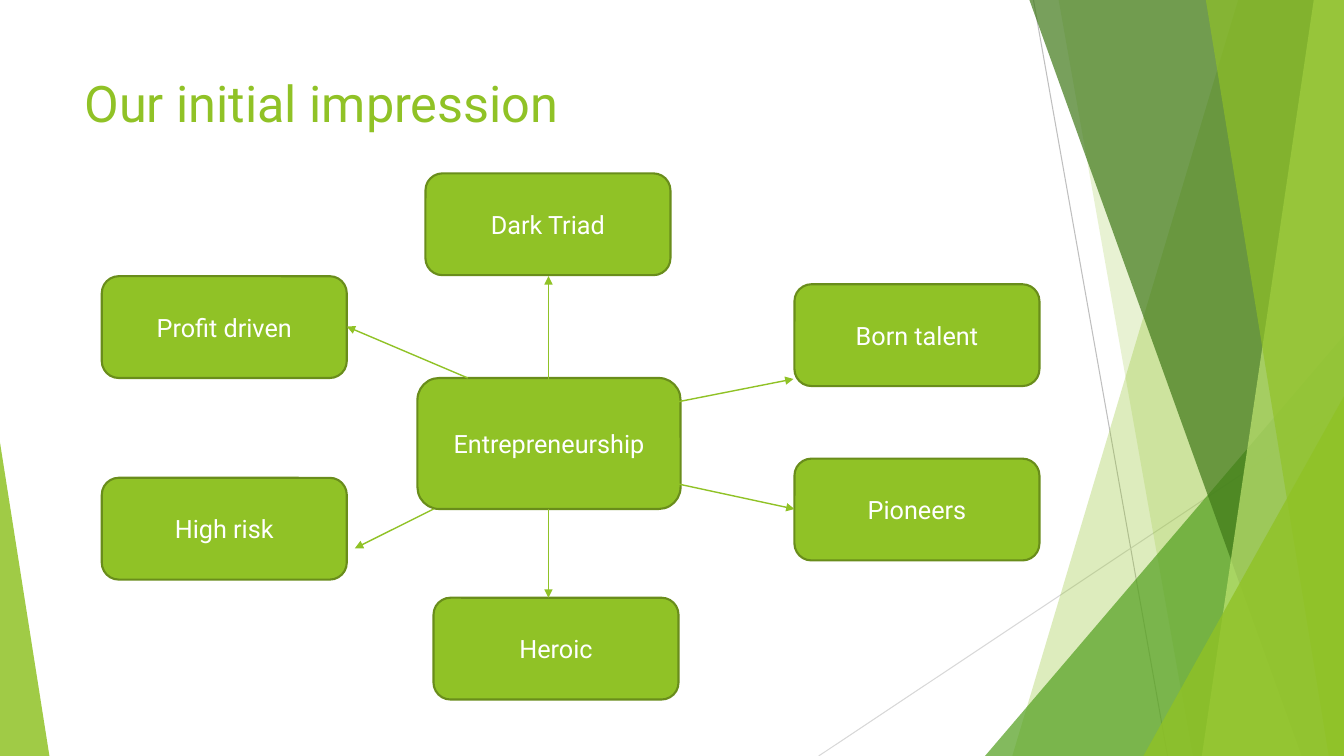
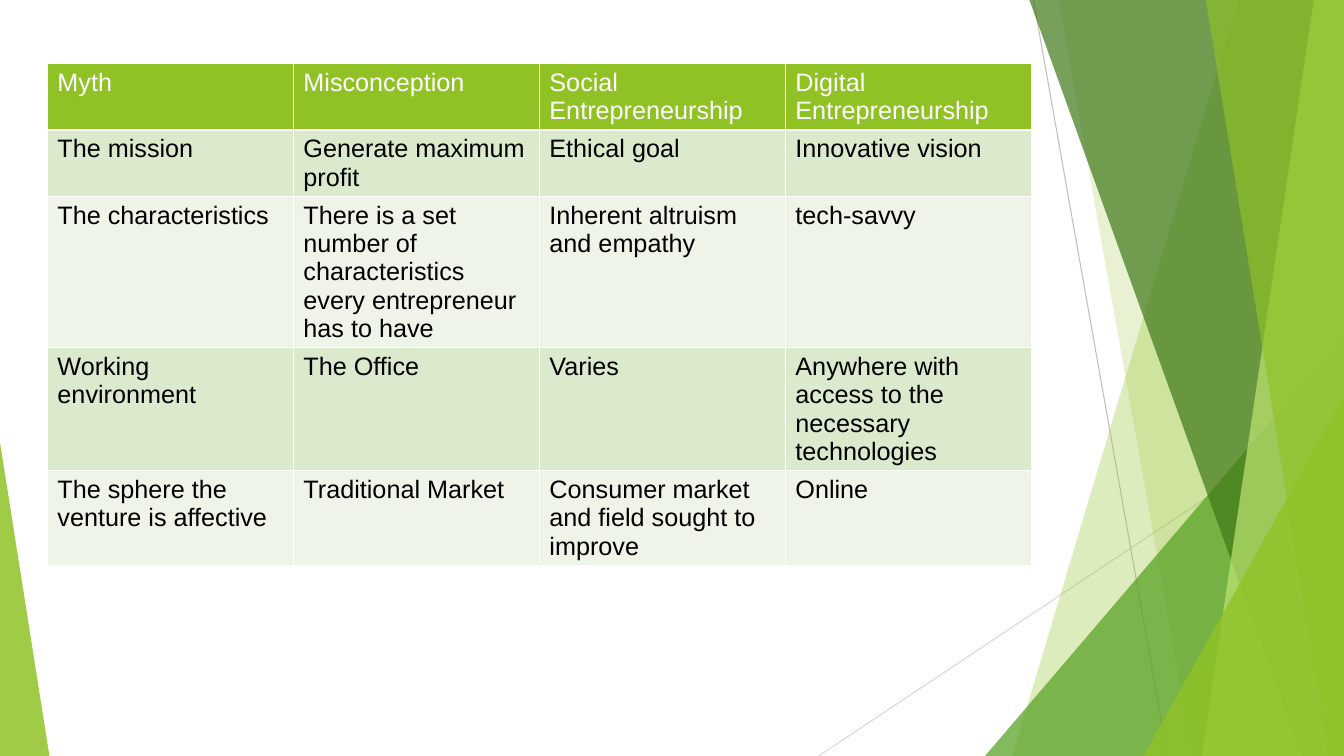
from lxml import etree
from pptx import Presentation
from pptx.dml.color import RGBColor
from pptx.enum.shapes import MSO_CONNECTOR, MSO_SHAPE
from pptx.enum.text import MSO_ANCHOR, PP_ALIGN
from pptx.oxml.ns import qn
from pptx.util import Emu, Pt

STRAIGHT = MSO_CONNECTOR.STRAIGHT
ROUNDED = MSO_SHAPE.ROUNDED_RECTANGLE
TRIANGLE = MSO_SHAPE.ISOSCELES_TRIANGLE
MIDDLE = MSO_ANCHOR.MIDDLE
CENTER = PP_ALIGN.CENTER

EMU_PER_PX = 9144
WIDTH, HEIGHT = 1333, 750
GREEN, DARK_GREEN, WHITE, BLACK = "90C226", "698D1B", "FFFFFF", "000000"
STRIPES = ("DBE9CD", "EEF4E8")
HEADING_FONT, TABLE_FONT = "Roboto", "Arial"

IDEA_SIZE = (243, 101)
CORE = (414, 375, 261, 130)
IDEAS = [
    ("Born talent", 788, 282),
    ("Profit driven", 101, 274),
    ("High risk", 101, 474),
    ("Pioneers", 788, 455),
    ("Heroic", 430, 593),
    ("Dark Triad", 422, 172),
]
ARROWS = [
    (630, 407, 787, 376),
    (658, 477, 788, 505),
    (544, 505, 544, 593),
    (430, 505, 352, 544),
    (464, 375, 344, 324),
    (544, 379, 544, 274),
]

MYTHS = [
    ("Myth", "Misconception", "Social Entrepreneurship", "Digital Entrepreneurship"),
    ("The mission", "Generate maximum profit", "Ethical goal", "Innovative vision"),
    ("The characteristics",
     "There is a set number of characteristics every entrepreneur has to have",
     "Inherent altruism and empathy", "tech-savvy"),
    ("Working environment", "The Office", "Varies",
     "Anywhere with access to the necessary technologies"),
    ("The sphere the venture is affective", "Traditional Market",
     "Consumer market and field sought to improve", "Online"),
]
ROW_HEIGHTS = (66, 66, 150, 121, 94)


def px(*lengths):
    """Turn px lengths into EMU."""
    return [Emu(length * EMU_PER_PX) for length in lengths]


def rgb(code):
    """Turn a hex string into a colour."""
    return RGBColor.from_string(code)


class Deck:
    """Hold the shared style and the current slide."""

    def __init__(self):
        """Start an empty deck."""
        self.prs = Presentation()
        self.prs.slide_width, self.prs.slide_height = px(WIDTH, HEIGHT)
        self.shapes = None

    def new_slide(self):
        """Add a blank slide with the shared facets."""
        self.shapes = self.prs.slides.add_slide(self.prs.slide_layouts[6]).shapes
        self.line(1025, 0, 1158, HEIGHT, "BFBFBF", 0.75)
        self.line(WIDTH, 403, 812, HEIGHT, "D8D8D8", 0.75)
        self.band(1228, 1004, GREEN, 30)
        self.band(1050, 1183, GREEN, 20)
        self.triangle(977, 333, 356, 1, "54A021", 72)
        self.band(1021, 1291, "3F7818", 70)
        self.band(1303, 1192, "BFE471", 70)
        self.band(1196, 1318, GREEN, 65)
        self.triangle(1134, 393, 199, 1, GREEN, 80)
        self.triangle(0, 439, 49, 0, GREEN, 85)

    def glass(self, facet, color, opacity):
        """Give a facet a see-through fill and no outline."""
        facet.shadow.inherit = False
        facet.fill.solid()
        facet.fill.fore_color.rgb = rgb(color)
        facet.line.fill.background()
        tint = next(facet._element.spPr.iter(qn("a:srgbClr")))
        etree.SubElement(tint, qn("a:alpha"), val=str(opacity * 1000))

    def band(self, top_x, bottom_x, color, opacity):
        """Draw a slanted band that reaches the right edge."""
        outline = self.shapes.build_freeform(top_x, 0, scale=EMU_PER_PX)
        outline.add_line_segments([(WIDTH, 0), (WIDTH, HEIGHT), (bottom_x, HEIGHT)])
        self.glass(outline.convert_to_shape(), color, opacity)

    def triangle(self, left, top, width, apex, color, opacity):
        """Draw a triangle that stands on the bottom edge."""
        facet = self.shapes.add_shape(TRIANGLE, *px(left, top, width, HEIGHT - top))
        facet.adjustments[0] = apex
        self.glass(facet, color, opacity)

    def line(self, x1, y1, x2, y2, color, weight, arrow=False):
        """Draw a straight line, with an arrowhead at its end if asked."""
        link = self.shapes.add_connector(STRAIGHT, *px(x1, y1, x2, y2))
        link.line.color.rgb = rgb(color)
        link.line.width = Pt(weight)
        properties = link._element.spPr
        if arrow:
            etree.SubElement(properties.find(qn("a:ln")), qn("a:tailEnd"), type="triangle")
        etree.SubElement(properties, qn("a:effectLst"))

    def put_text(self, frame, text, size, color, font):
        """Put one styled paragraph in a text frame."""
        frame.word_wrap = True
        paragraph = frame.paragraphs[0]
        paragraph.text = text
        paragraph.font.size = Pt(size)
        paragraph.font.name = font
        paragraph.font.bold = False
        paragraph.font.color.rgb = rgb(color)
        return paragraph

    def title(self, text):
        """Add the slide title."""
        heading = self.shapes.add_textbox(*px(74, 67, 940, 144))
        self.put_text(heading.text_frame, text, 36, GREEN, HEADING_FONT)

    def box(self, text, left, top, width, height):
        """Draw a rounded box with a centred label."""
        idea = self.shapes.add_shape(ROUNDED, *px(left, top, width, height))
        idea.shadow.inherit = False
        idea.fill.solid()
        idea.fill.fore_color.rgb = rgb(GREEN)
        idea.line.color.rgb = rgb(DARK_GREEN)
        idea.line.width = Pt(1.5)
        idea.text_frame.vertical_anchor = MIDDLE
        self.put_text(idea.text_frame, text, 18, WHITE, HEADING_FONT).alignment = CENTER

    def cell_borders(self, cell):
        """Outline a cell with thin white lines."""
        properties = cell._tc.get_or_add_tcPr()
        for side in ("a:lnL", "a:lnR", "a:lnT", "a:lnB"):
            edge = etree.SubElement(properties, qn(side), w=str(Pt(1)))
            fill = etree.SubElement(edge, qn("a:solidFill"))
            etree.SubElement(fill, qn("a:srgbClr"), val=WHITE)

    def table(self, rows, left, top, column_width, heights):
        """Draw a striped table with a green header row."""
        columns = len(rows[0])
        frame = self.shapes.add_table(
            len(rows), columns, *px(left, top, column_width * columns, sum(heights)))
        grid = frame.table
        for column in grid.columns:
            column.width = px(column_width)[0]
        for r, (texts, height) in enumerate(zip(rows, heights)):
            grid.rows[r].height = px(height)[0]
            fill, ink = (STRIPES[(r - 1) % 2], BLACK) if r else (GREEN, WHITE)
            for c, text in enumerate(texts):
                cell = grid.cell(r, c)
                self.cell_borders(cell)
                cell.fill.solid()
                cell.fill.fore_color.rgb = rgb(fill)
                self.put_text(cell.text_frame, text, 18, ink, TABLE_FONT)


def main():
    """Build and save both slides."""
    deck = Deck()

    deck.new_slide()
    deck.title("Our initial impression")
    deck.box("Entrepreneurship", *CORE)
    for text, left, top in IDEAS:
        deck.box(text, left, top, *IDEA_SIZE)
    for ends in ARROWS:
        deck.line(*ends, GREEN, 1, arrow=True)

    deck.new_slide()
    deck.table(MYTHS, 47, 63, 244, ROW_HEIGHTS)

    deck.prs.save("out.pptx")


if __name__ == "__main__":
    main()
